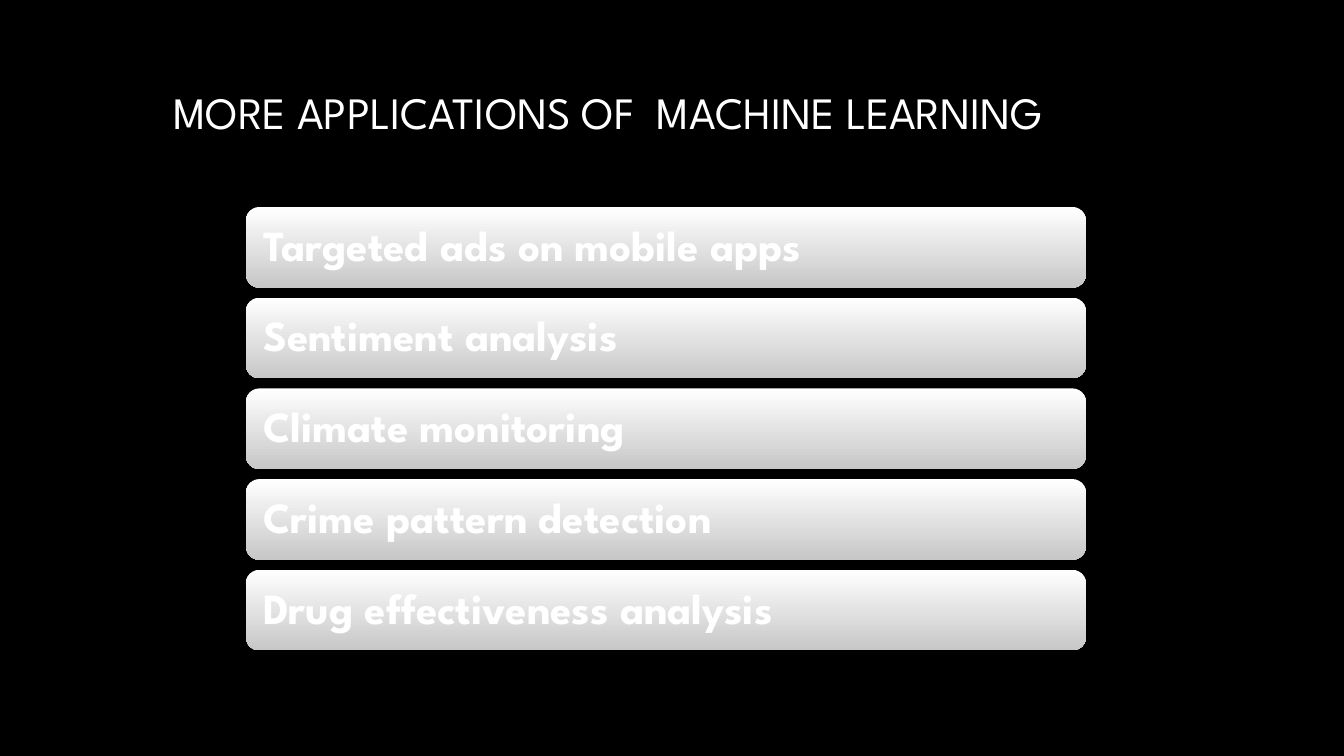
from dataclasses import dataclass

from pptx import Presentation
from pptx.dml.color import RGBColor
from pptx.enum.shapes import MSO_SHAPE
from pptx.enum.text import MSO_ANCHOR, PP_ALIGN
from pptx.util import Inches, Pt


@dataclass(frozen=True)
class Theme:
    """Colours, font and type sizes of the slide."""
    font: str = "League Spartan"
    background: str = "000000"
    text: str = "FFFFFF"
    bar_top: str = "FFFFFF"
    bar_bottom: str = "C7C7C7"
    title_size: float = 24
    title_leading: float = 50.2
    bar_size: float = 23


THEME = Theme()
TITLE = "MORE APPLICATIONS OF  MACHINE LEARNING"
APPLICATIONS = (
    "Targeted ads on mobile apps",
    "Sentiment analysis",
    "Climate monitoring",
    "Crime pattern detection",
    "Drug effectiveness analysis",
)


def add_text(s, box, text, size, spacing, margins, bold=False):
    """Place one left-aligned, vertically centred paragraph in the given box."""
    tf = s.shapes.add_textbox(*map(Inches, box)).text_frame
    tf.word_wrap = True
    tf.vertical_anchor = MSO_ANCHOR.MIDDLE
    tf.margin_left, tf.margin_top, tf.margin_right, tf.margin_bottom = map(Inches, margins)
    p = tf.paragraphs[0]
    p.text = text
    p.alignment = PP_ALIGN.LEFT
    p.line_spacing = spacing
    p.font.name = THEME.font
    p.font.size = Pt(size)
    p.font.bold = bold
    p.font.color.rgb = RGBColor.from_string(THEME.text)


def add_title(s, box, text):
    """Place the slide title in the given box."""
    add_text(s, box, text, THEME.title_size, Pt(THEME.title_leading), (0.01, 0.07, 0, 0))


def add_bar(s, box, text, inset=0.03):
    """Place one rounded bar with a vertical gradient and its label."""
    sp = s.shapes.add_shape(MSO_SHAPE.ROUNDED_RECTANGLE, *map(Inches, box))
    sp.shadow.inherit = False
    sp.line.fill.background()
    sp.fill.gradient()
    sp.fill.gradient_angle = 270
    stops = zip(sp.fill.gradient_stops, (THEME.bar_top, THEME.bar_bottom), (0, 1))
    for stop, color, position in stops:
        stop.color.rgb = RGBColor.from_string(color)
        stop.position = position
    left, top, width, height = box
    label = (left + inset, top + inset, width - 2 * inset, height - 2 * inset)
    add_text(s, label, text, THEME.bar_size, 0.9, (0.1,) * 4, bold=True)


def add_bar_list(s, box, items, bar_height=0.6):
    """Spread equal bars evenly over the height of the given box."""
    left, top, width, height = box
    pitch = (height - bar_height) / (len(items) - 1)
    for row, text in enumerate(items):
        add_bar(s, (left, top + row * pitch, width, bar_height), text)


def main():
    """Build and save the slide."""
    prs = Presentation()
    prs.slide_width, prs.slide_height = Inches(10), Inches(10 * 9 / 16)
    s = prs.slides.add_slide(prs.slide_layouts[6])
    s.background.fill.solid()
    s.background.fill.fore_color.rgb = RGBColor.from_string(THEME.background)
    add_title(s, (1.28, 0.31, 7.61, 0.67), TITLE)
    add_bar_list(s, (1.83, 1.54, 6.25, 3.3), APPLICATIONS)
    prs.save("out.pptx")


if __name__ == "__main__":
    main()
